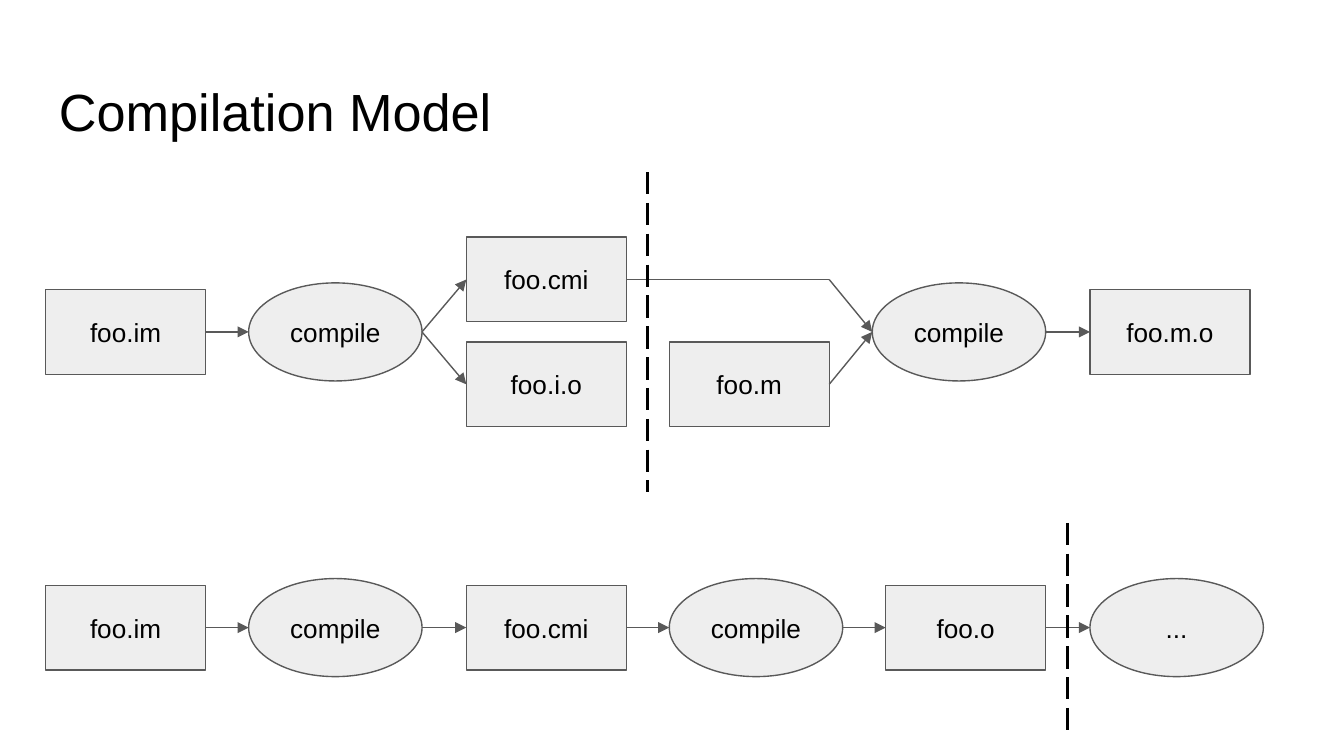
from pptx import Presentation, util as u
from pptx.dml.color import RGBColor
from pptx.enum import dml, shapes, text
from pptx.oxml.ns import qn
from lxml import etree

BLACK = RGBColor(0x00, 0x00, 0x00)
GRAY = RGBColor(0x59, 0x59, 0x59)
LIGHT = RGBColor(0xEE, 0xEE, 0xEE)
FONT = "Arial"
FILE_SIZE = (1.19, 0.63)
STEP_SIZE = (1.29, 0.73)


class Diagram:
    """Holds the style and the current slide."""

    def __init__(self, slide):
        self.slide = slide
        self.group = None

    def start_group(self):
        self.group = self.slide.shapes.add_group_shape().shapes

    def style_text(self, tf, words, size):
        tf.text = words
        tf.word_wrap = True
        tf.margin_left = tf.margin_right = u.Inches(0.1)
        tf.margin_top = tf.margin_bottom = u.Inches(0.1)
        font = tf.paragraphs[0].runs[0].font
        font.name, font.size, font.color.rgb = FONT, u.Pt(size), BLACK

    def title(self, words):
        box = self.slide.shapes.add_textbox(
            u.Inches(0.34), u.Inches(0.49), u.Inches(9.32), u.Inches(0.63))
        self.style_text(box.text_frame, words, 28)

    def node(self, kind, words, x, mid, size):
        w, h = size
        s = self.group.add_shape(kind, u.Inches(x), u.Inches(mid - h / 2),
                                 u.Inches(w), u.Inches(h))
        s.shadow.inherit = False
        s.fill.solid()
        s.fill.fore_color.rgb = LIGHT
        s.line.color.rgb, s.line.width = GRAY, u.Pt(0.75)
        self.style_text(s.text_frame, words, 14)
        s.text_frame.vertical_anchor = text.MSO_ANCHOR.MIDDLE
        s.text_frame.paragraphs[0].alignment = text.PP_ALIGN.CENTER
        return s

    def file(self, words, x, mid):
        return self.node(shapes.MSO_SHAPE.RECTANGLE, words, x, mid, FILE_SIZE)

    def step(self, words, x, mid):
        return self.node(shapes.MSO_SHAPE.OVAL, words, x, mid, STEP_SIZE)

    def line(self, start, end, color=GRAY, width=0.75):
        c = self.group.add_connector(shapes.MSO_CONNECTOR.STRAIGHT, *start, *end)
        c.line.color.rgb, c.line.width = color, u.Pt(width)
        etree.SubElement(c._element.spPr, qn("a:effectLst"))
        return c

    def arrow(self, start, end):
        c = self.line(start, end)
        etree.SubElement(c.line._get_or_add_ln(), qn("a:tailEnd"), type="triangle")

    def link(self, a, b):
        self.arrow(right(a), left(b))

    def divider(self, x, top, bottom):
        x = u.Inches(x)
        c = self.line((x, u.Inches(top)), (x, u.Inches(bottom)), BLACK, 1.5)
        c.line.dash_style = dml.MSO_LINE.LONG_DASH


def left(s):
    return s.left, s.top + s.height // 2


def right(s):
    return s.left + s.width, s.top + s.height // 2


def main():
    # 16:9 slide
    prs = Presentation()
    prs.slide_width, prs.slide_height = u.Inches(10), u.Inches(10 * 9 / 16)
    d = Diagram(prs.slides.add_slide(prs.slide_layouts[6]))
    d.title("Compilation Model")

    # Upper flow: interface and module compiled separately
    mid, upper, lower = 2.47, 2.08, 2.86
    d.start_group()
    source = d.file("foo.im", 0.34, mid)
    first = d.step("compile", 1.85, mid)
    cmi = d.file("foo.cmi", 3.47, upper)
    interface = d.file("foo.i.o", 3.47, lower)
    module = d.file("foo.m", 4.98, lower)
    second = d.step("compile", 6.49, mid)
    result = d.file("foo.m.o", 8.11, mid)
    for a, b in [(source, first), (first, cmi), (first, interface),
                 (module, second), (second, result)]:
        d.link(a, b)
    bend = (right(module)[0], right(cmi)[1])
    d.line(right(cmi), bend)
    d.arrow(bend, left(second))
    d.divider(4.82, 1.28, 3.66)

    # Lower flow: one chain of files and steps
    mid = 4.67
    d.start_group()
    chain = [
        d.file("foo.im", 0.34, mid),
        d.step("compile", 1.85, mid),
        d.file("foo.cmi", 3.47, mid),
        d.step("compile", 4.98, mid),
        d.file("foo.o", 6.59, mid),
        d.step("...", 8.11, mid),
    ]
    for a, b in zip(chain, chain[1:]):
        d.link(a, b)
    d.divider(7.94, 3.89, 5.46)

    prs.save("out.pptx")


if __name__ == "__main__":
    main()
